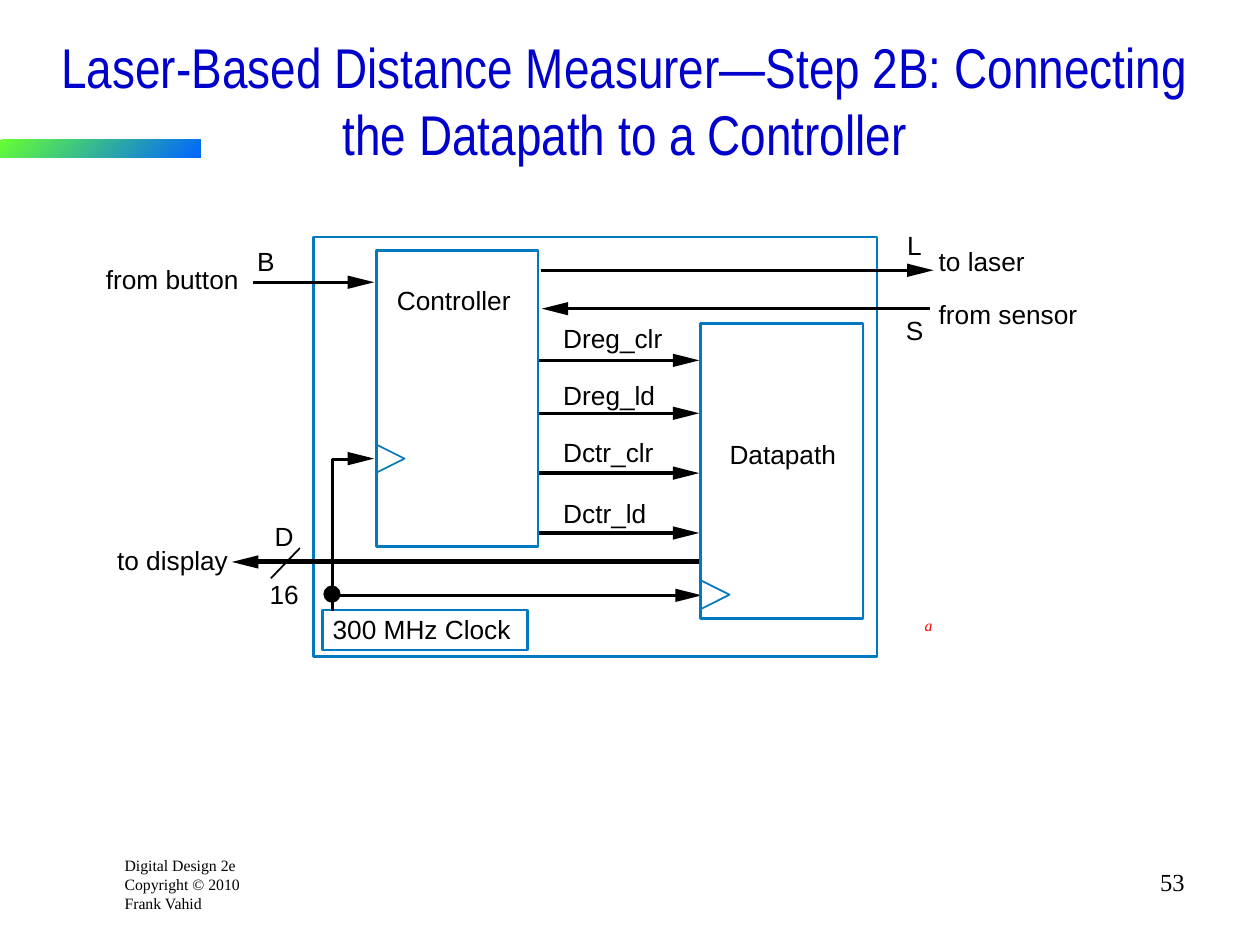
from dataclasses import dataclass

from lxml.etree import SubElement
from pptx import Presentation
from pptx.dml.color import RGBColor
from pptx.enum.shapes import MSO_CONNECTOR, MSO_SHAPE
from pptx.enum.text import MSO_ANCHOR, MSO_AUTO_SIZE, PP_ALIGN
from pptx.oxml.ns import qn
from pptx.util import Inches, Pt

COLUMNS, ROWS = 100, 75
BLACK, BLUE = "000000", "0079C1"
HEAD_LENGTH, HEAD_HALF, HEAD_OVERLAP = 2.1, 0.53, 0.4
LABEL_HEIGHT, LABEL_SLACK = 2.5, 0.5

deck = Presentation()
deck.slide_width, deck.slide_height = Inches(10), Inches(7.5)
page = deck.slides.add_slide(deck.slide_layouts[5])


@dataclass
class Label:
    text: str
    column: float
    row: float
    width: float


@dataclass
class Block:
    column: float
    row: float
    width: float
    height: float


@dataclass
class Signal:
    tail: float
    tip: float
    row: float
    weight: float = 1.88


def across(columns: float) -> int:
    return round(deck.slide_width * columns / COLUMNS)


def down(rows: float) -> int:
    return round(deck.slide_height * rows / ROWS)


def place(block: Block) -> tuple[int, int, int, int]:
    return across(block.column), down(block.row), across(block.width), down(block.height)


def colour(code: str) -> RGBColor:
    return RGBColor.from_string(code)


def paint(shape, fill: str | None = None, line: str | None = None, weight: float = 1.5):
    shape.shadow.inherit = False
    if fill:
        shape.fill.solid()
        shape.fill.fore_color.rgb = colour(fill)
    else:
        shape.fill.background()
    if line:
        shape.line.color.rgb = colour(line)
        shape.line.width = Pt(weight)
    else:
        shape.line.fill.background()


def write(frame, lines: list[str], size: float, face: str = "Times New Roman",
          ink: str = BLACK, align=PP_ALIGN.LEFT, italic: bool = False):
    for number, line in enumerate(lines):
        para = frame.add_paragraph() if number else frame.paragraphs[0]
        para.text = line
        para.alignment = align
        font = para.font
        font.size, font.name, font.italic = Pt(size), face, italic
        font.color.rgb = colour(ink)


def add_text(block: Block, wrap: bool, inset: bool = True):
    frame = page.shapes.add_textbox(*place(block)).text_frame
    frame.word_wrap = wrap
    if not wrap:
        frame.auto_size = MSO_AUTO_SIZE.SHAPE_TO_FIT_TEXT
    if not inset:
        frame.margin_left = frame.margin_top = frame.margin_right = frame.margin_bottom = 0
    return frame


def draw_label(label: Label):
    block = Block(label.column, label.row, label.width + LABEL_SLACK, LABEL_HEIGHT)
    write(add_text(block, wrap=False, inset=False), [label.text], 15, "Arial")


def draw_block(block: Block):
    paint(page.shapes.add_shape(MSO_SHAPE.RECTANGLE, *place(block)), line=BLUE)


def draw_line(start: tuple[float, float], end: tuple[float, float], weight: float):
    line = page.shapes.add_connector(
        MSO_CONNECTOR.STRAIGHT, across(start[0]), down(start[1]), across(end[0]), down(end[1]))
    line.line.color.rgb = colour(BLACK)
    line.line.width = Pt(weight)
    SubElement(line._element.spPr, qn("a:effectLst"))


def draw_outline(points: list[tuple[float, float]], close: bool = False):
    corners = [(across(column), down(row)) for column, row in points]
    builder = page.shapes.build_freeform(*corners[0])
    builder.add_line_segments(corners[1:], close=close)
    return builder.convert_to_shape()


def draw_head(tip: float, row: float, direction: int):
    base = tip - direction * HEAD_LENGTH
    points = [(tip, row), (base, row - HEAD_HALF), (base, row + HEAD_HALF)]
    paint(draw_outline(points, close=True), fill=BLACK)


def draw_signal(signal: Signal):
    direction = 1 if signal.tip > signal.tail else -1
    stop = signal.tip - direction * (HEAD_LENGTH - HEAD_OVERLAP)
    draw_line((signal.tail, signal.row), (stop, signal.row), signal.weight)
    draw_head(signal.tip, signal.row, direction)


def draw_clock_input(column: float, row: float):
    points = [(column, row + 1.1), (column + 2.2, row), (column, row - 1.1)]
    paint(draw_outline(points), line=BLUE, weight=1)


write(add_text(Block(8.9, 67.4, 11.4, 5.5), wrap=True),
      ["Digital Design 2e", "Copyright © 2010", "Frank Vahid"], 9)

accent = page.shapes.add_shape(MSO_SHAPE.RECTANGLE, *place(Block(0, 11.1, 15.9, 1.4)))
paint(accent)
accent.fill.gradient()
accent.fill.gradient_angle = 315
for stop, code in zip(accent.fill.gradient_stops, ("66FF33", "0066FF")):
    stop.color.rgb = colour(code)

write(add_text(Block(74.2, 68.3, 20.8, 5), wrap=True), ["53"], 14, align=PP_ALIGN.RIGHT)

title = page.shapes.title
title.left, title.top, title.width, title.height = place(Block(2.5, 3.3, 94.2, 9.2))
title.text_frame.auto_size = MSO_AUTO_SIZE.NONE
title.text_frame.word_wrap = True
title.text_frame.vertical_anchor = MSO_ANCHOR.MIDDLE
write(title.text_frame,
      ["Laser-Based Distance Measurer—Step 2B: Connecting the Datapath to a Controller"],
      32, "Arial Narrow", "0000CC", PP_ALIGN.CENTER)

system = Block(24.9, 18.8, 44.7, 33.3)
controller = Block(29.9, 19.9, 12.8, 23.5)
datapath = Block(55.6, 25.7, 12.9, 23.4)
clock = Block(25.6, 48.4, 16.3, 3.2)

draw_block(system)
for signal in (
    Signal(55.5, 18.4, 44.6, 2.88),
    Signal(73.8, 43, 24.5),
    Signal(42.9, 74.1, 21.45),
    Signal(20.1, 29.7, 22.4),
    Signal(26.4, 55.7, 47.25),
):
    draw_signal(signal)
for text, row, label_row, width in (
    ("Dreg_clr", 28.6, 25.6, 7.9),
    ("Dreg_ld", 32.8, 30.1, 7.3),
    ("Dctr_clr", 37.55, 34.6, 7.2),
    ("Dctr_ld", 42.3, 39.5, 6.6),
):
    draw_signal(Signal(42.8, 55.5, row))
    draw_label(Label(text, 44.7, label_row, width))
for block in (controller, datapath, clock):
    draw_block(block)

draw_clock_input(controller.column, 36.4)
draw_clock_input(55.7, 47.2)
draw_line((23.8, 43.5), (21.5, 45.9), 1)
paint(draw_outline([(26.4, 48.5), (26.4, 36.5), (27.7, 36.5)]), line=BLACK, weight=1.88)
draw_head(29.7, 36.4, 1)
junction = page.shapes.add_shape(MSO_SHAPE.OVAL, *place(Block(25.8, 46.6, 1.1, 1.1)))
paint(junction, BLACK, BLACK, 1.88)

for label in (
    Label("D", 21.8, 41.3, 1.5),
    Label("B", 20.4, 19.5, 1.4),
    Label("L", 72, 18.2, 1.2),
    Label("S", 71.9, 24.9, 1.4),
    Label("16", 21.4, 45.9, 2.3),
    Label("to display", 9.3, 43.2, 8.8),
    Label("from button", 8.4, 20.9, 10.5),
    Label("Controller", 31.5, 22.6, 9.1),
    Label("to laser", 74.5, 19.5, 6.8),
    Label("from sensor", 74.5, 23.7, 11),
    Label("Datapath", 57.9, 34.8, 8.5),
    Label("300 MHz Clock", 26.4, 48.7, 14.1),
):
    draw_label(label)
write(add_text(Block(72.4, 48.4, 2.6, 2.5), wrap=False), ["a"], 9, ink="FF0000", italic=True)

deck.save("out.pptx")
